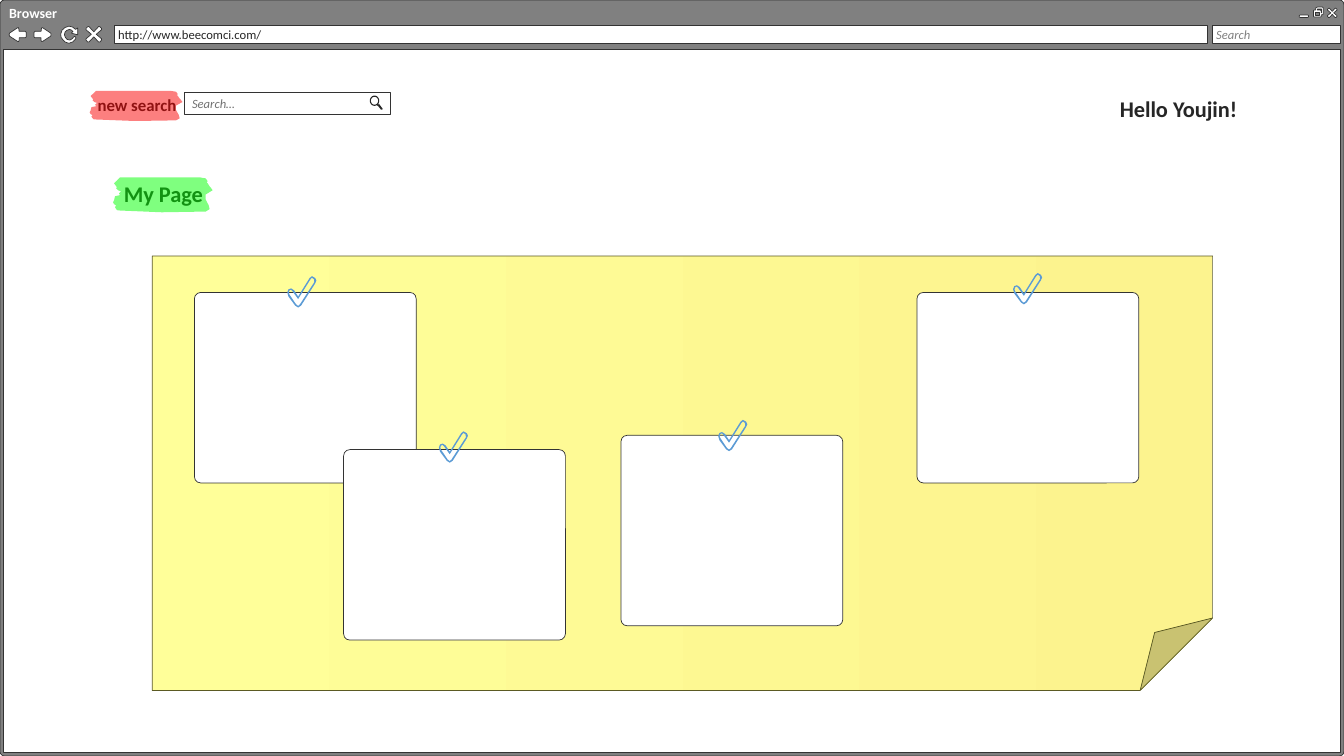
"""Build a browser wireframe with a sticky note board of pinned cards."""
import math

import pptx
import pptx.dml.color
import pptx.enum.shapes
import pptx.enum.text
import pptx.util
from lxml import etree

RGBColor = pptx.dml.color.RGBColor
Cm = pptx.util.Cm
Pt = pptx.util.Pt
KIND = pptx.enum.shapes.MSO_SHAPE
ANCHOR = pptx.enum.text.MSO_ANCHOR

WHITE = RGBColor(0xFF, 0xFF, 0xFF)
GREY = RGBColor(0x80, 0x80, 0x80)
HINT = RGBColor(0x72, 0x72, 0x72)
EDGE = RGBColor(0x33, 0x33, 0x33)
INK = RGBColor(0x26, 0x26, 0x26)
BLUE = RGBColor(0x5B, 0x9B, 0xD5)
RED = RGBColor(0xFA, 0x00, 0x00)
GREEN = RGBColor(0x00, 0xFF, 0x00)
PALE = RGBColor(0xFF, 0xFF, 0x99)
SAND = RGBColor(0xFC, 0xF3, 0x8E)
OLIVE = RGBColor(0x5B, 0x5A, 0x23)


def ring(mid, size):
    turns = [math.tau * step / 24 for step in range(24)]
    return [(mid + size * math.cos(t), mid + size * math.sin(t)) for t in turns]


ARROW = [(43, 10), (41, 28), (5, 28), (0, 34), (0, 68), (5, 73), (41, 73), (41, 92),
         (45, 100), (52, 97), (97, 62), (100, 50), (97, 40), (52, 4), (46, 1)]
BACK = [(100 - x, y) for x, y in ARROW]
CROSS = [(12, 4), (20, 2), (50, 35), (80, 2), (88, 4), (97, 13), (98, 22),
         (65, 50), (98, 78), (97, 87), (88, 97), (80, 98), (50, 66), (20, 98),
         (12, 97), (3, 87), (2, 78), (35, 50), (2, 22), (3, 13)]
RELOAD = [(48, 0), (25, 8), (8, 22), (0, 45), (3, 62), (14, 76), (28, 88), (48, 94),
          (72, 86), (88, 70), (88, 60), (82, 56), (77, 59), (66, 70), (55, 76),
          (38, 73), (28, 62), (22, 48), (26, 32), (38, 22), (52, 18), (64, 22),
          (72, 30), (62, 38), (100, 48), (100, 10), (87, 18), (70, 5)]
PANES = [
    [(40, 0), (25, 6), (22, 28), (6, 30), (0, 38), (0, 92), (8, 100), (72, 100),
     (80, 92), (80, 78), (94, 76), (100, 68), (100, 10), (92, 0)],
    [(40, 20), (82, 20), (82, 58), (78, 58), (78, 38), (72, 30), (40, 30)],
    [(18, 50), (60, 50), (60, 80), (18, 80)],
]
LENS = [ring(36, 36), ring(36, 28),
        [(70, 58), (56, 70), (62, 72), (85, 98), (95, 99), (98, 92)]]
CHECK = [
    [(84, 0), (76, 6), (37, 65), (23, 45), (13, 39), (4, 42), (0, 52), (4, 65),
     (27, 94), (37, 100), (47, 94), (95, 23), (99, 14), (95, 6)],
    [(84, 5), (91, 10), (92, 19), (43, 90), (37, 95), (30, 90), (7, 58), (5, 52),
     (7, 46), (12, 43), (17, 47), (37, 73), (79, 10)],
]
BRUSH = [(7, 0), (4, 9), (1, 17), (4, 29), (3, 31), (5, 37), (8, 40), (6, 46),
         (7, 51), (2, 54), (1, 66), (0, 71), (1, 77), (3, 80), (2, 86), (4, 94),
         (7, 95), (49, 100), (93, 98), (97, 91), (96, 80), (94, 69), (93, 63),
         (93, 49), (100, 37), (98, 29), (97, 26), (95, 17), (94, 14), (95, 11),
         (93, 3), (87, 0)]


class Board:
    def __init__(self, deck):
        self.slide = deck.slides.add_slide(deck.slide_layouts[5])
        self.shapes = self.slide.shapes
        self.font = "Calibri"

    def paint(self, shape, fill, line=EDGE):
        shape.shadow.inherit = False
        shape.fill.solid()
        shape.fill.fore_color.rgb = fill
        if line is None:
            shape.line.fill.background()
        else:
            shape.line.color.rgb = line
            shape.line.width = Pt(0.5)

    def letter(self, shape, text, size, color, bold=False, italic=False,
               pad=(0.2, 0.1), anchor=ANCHOR.TOP, wrap=True):
        frame = shape.text_frame
        frame.text = text
        frame.word_wrap = wrap
        frame.auto_size = pptx.enum.text.MSO_AUTO_SIZE.NONE
        frame.vertical_anchor = anchor
        frame.margin_left = frame.margin_right = Cm(pad[0])
        frame.margin_top = frame.margin_bottom = Cm(pad[1])
        line = frame.paragraphs[0]
        line.alignment = pptx.enum.text.PP_ALIGN.LEFT
        font = line.font
        font.name, font.size, font.bold, font.italic = self.font, Pt(size), bold, italic
        font.color.rgb = color

    def box(self, area, kind=KIND.RECTANGLE, fill=WHITE, line=EDGE, bend=None):
        shape = self.shapes.add_shape(kind, *map(Cm, area))
        self.paint(shape, fill, line)
        if bend is not None:
            shape.adjustments[0] = bend
        return shape

    def field(self, area, text, color, italic=True, pad=(0.1, 0)):
        self.letter(self.box(area), text, 9, color, italic=italic, pad=pad,
                    anchor=ANCHOR.MIDDLE)

    def label(self, area, text, size, wrap=True):
        shape = self.shapes.add_textbox(*map(Cm, area))
        self.letter(shape, text, size, INK, bold=True, wrap=wrap)

    def title(self, area, text):
        shape = self.shapes.title
        shape.left, shape.top, shape.width, shape.height = map(Cm, area)
        self.letter(shape, text, 16, INK, bold=True)
        shape.element.getparent().append(shape.element)

    def icon(self, area, loops, fill=WHITE, line=EDGE):
        left, top, width, height = area
        build = None
        for loop in loops:
            spots = [(Cm(left + width * x / 100), Cm(top + height * y / 100))
                     for x, y in loop]
            if build is None:
                build = self.shapes.build_freeform(*spots[0], scale=1.0)
            else:
                build.move_to(*spots[0])
            build.add_line_segments(spots[1:], close=True)
        shape = build.convert_to_shape()
        self.paint(shape, fill, line)
        return shape

    def swipe(self, area, color):
        shape = self.icon(area, [BRUSH], color, None)
        space = "{http://schemas.openxmlformats.org/drawingml/2006/main}"
        tint = shape.element.spPr.find(f"{space}solidFill/{space}srgbClr")
        etree.SubElement(tint, f"{space}alpha").set("val", "50000")

    def note(self, area):
        shape = self.box(area, KIND.FOLDED_CORNER, PALE, OLIVE)
        shape.fill.gradient()
        shape.fill.gradient_angle = 0
        for stop, color in zip(shape.fill.gradient_stops, (PALE, SAND)):
            stop.color.rgb = color


def main():
    deck = pptx.Presentation()
    deck.slide_width, deck.slide_height = Cm(33.87), Cm(19.05)
    page = Board(deck)

    frame = page.box((0, 0, 33.87, 19.05), KIND.ROUNDED_RECTANGLE, GREY, bend=0.006)
    page.letter(frame, "Browser", 10, WHITE, bold=True, pad=(0.2, 0.08))
    page.box((0.08, 1.25, 33.7, 17.72))
    page.field((2.88, 0.64, 27.55, 0.46), "http://www.beecomci.com/", INK, False)
    page.field((30.55, 0.64, 3.23, 0.46), "Search", GREY)
    for area, loops in (
        ((2.16, 0.66, 0.41, 0.41), [CROSS]),
        ((1.53, 0.66, 0.43, 0.46), [RELOAD]),
        ((0.86, 0.69, 0.43, 0.36), [ARROW]),
        ((0.23, 0.69, 0.43, 0.36), [BACK]),
        ((33.45, 0.2, 0.25, 0.25), [CROSS]),
        ((33.1, 0.18, 0.25, 0.25), PANES),
    ):
        page.icon(area, loops)
    page.box((32.74, 0.38, 0.24, 0.06), KIND.ROUNDED_RECTANGLE, bend=0.5)

    page.label((28.02, 2.31, 3.99, 0.86), "Hello Youjin!", 16)
    page.field((4.64, 2.32, 5.2, 0.56), "Search…", HINT, pad=(0.2, 0.1))
    page.icon((9.32, 2.41, 0.33, 0.36), LENS, INK, None)
    page.label((2.26, 2.29, 2.41, 0.69), "new search", 12, False)
    page.swipe((2.26, 2.29, 2.34, 0.76), RED)
    page.title((2.92, 4.45, 3.99, 0.86), "My Page")
    page.swipe((2.85, 4.47, 2.51, 0.88), GREEN)

    page.note((3.84, 6.45, 26.72, 10.95))
    for left, top in ((4.9, 7.37), (8.66, 11.33), (15.65, 10.97), (23.11, 7.37)):
        page.box((left, top, 5.59, 4.8), KIND.ROUNDED_RECTANGLE, bend=0.033)
    for left, top in ((7.24, 6.96), (11.06, 10.87), (18.1, 10.58), (25.53, 6.88)):
        page.icon((left, top, 0.74, 0.79), CHECK, BLUE, None)
    deck.save("out.pptx")


if __name__ == "__main__":
    main()
